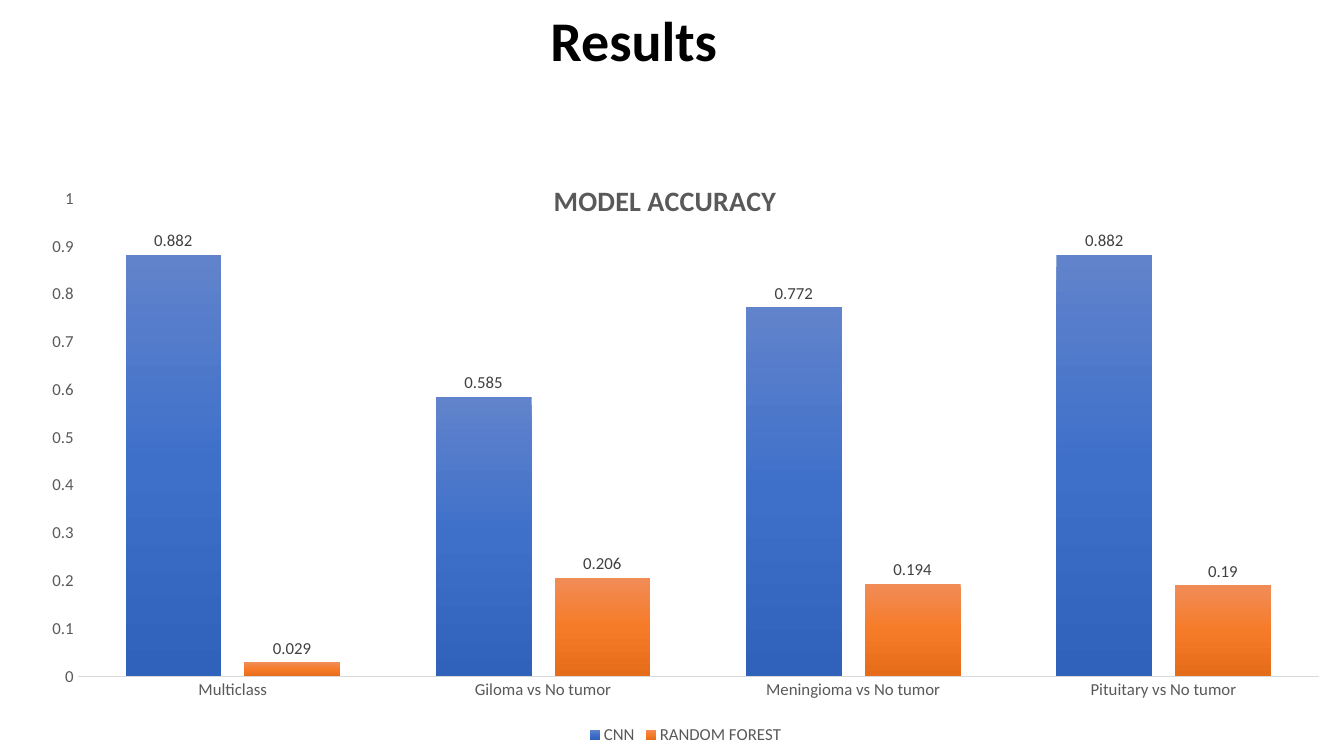
from pptx import Presentation
from pptx.chart.data import CategoryChartData
from pptx.dml.color import RGBColor
from pptx.enum.chart import XL_CHART_TYPE, XL_LABEL_POSITION, XL_LEGEND_POSITION, XL_TICK_MARK
from pptx.enum.text import MSO_ANCHOR, MSO_AUTO_SIZE, PP_ALIGN
from pptx.oxml import parse_xml
from pptx.oxml.ns import nsdecls, qn
from pptx.util import Inches, Pt

TITLE = "Results"
CHART_TITLE = "MODEL ACCURACY"
CATEGORIES = ["Multiclass", "Giloma vs No tumor", "Meningioma vs No tumor", "Pituitary vs No tumor"]
SERIES = {
    "CNN": [0.882, 0.585, 0.772, 0.882],
    "RANDOM FOREST": [0.029, 0.206, 0.194, 0.19],
}
GRADIENTS = {
    "CNN": ["6183CB", "3E70CA", "3062BB"],
    "RANDOM FOREST": ["F18C57", "F67B28", "E56C19"],
}
COLORS = {"title": "000000", "text": "595959", "label": "404040", "axis": "D9D9D9"}
FONT = "Calibri"
CHART_BOX = (0.26, 1.02, 13.08, 6.41)
PLOT_BOX = (0.77, 1.97, 12.31, 4.74)
CHART_TITLE_AT = (5.44, 1.74)


def style(font, size, color, bold=False):
    font.name = FONT
    font.size = Pt(size)
    font.bold = bold
    font.color.rgb = RGBColor.from_string(COLORS[color])


def gradient(colors):
    stops = "".join(
        f'<a:gs pos="{i * 50000}"><a:srgbClr val="{c}"/></a:gs>' for i, c in enumerate(colors)
    )
    return parse_xml(
        f'<a:gradFill {nsdecls("a")} rotWithShape="1"><a:gsLst>{stops}</a:gsLst>'
        '<a:lin ang="5400000" scaled="0"/></a:gradFill>'
    )


def layout(left, top, width=None, height=None):
    x, y, w, h = CHART_BOX
    values = {"x": (left - x) / w, "y": (top - y) / h}
    inner = ""
    if width:
        values.update(w=width / w, h=height / h)
        inner = '<c:layoutTarget val="inner"/>'
    modes = "".join(f'<c:{k}Mode val="edge"/>' for k in "xy")
    sizes = "".join(f'<c:{k} val="{v:.4f}"/>' for k, v in values.items())
    return parse_xml(
        f'<c:layout {nsdecls("c")}><c:manualLayout>{inner}{modes}{sizes}</c:manualLayout></c:layout>'
    )


def add_title(slide):
    title = slide.shapes.title
    title.left, title.top, title.width, title.height = map(Inches, (5.36, 0, 4.65, 0.77))
    tf = title.text_frame
    tf.text = TITLE
    tf.auto_size = MSO_AUTO_SIZE.NONE
    tf.vertical_anchor = MSO_ANCHOR.TOP
    p = tf.paragraphs[0]
    p.alignment = PP_ALIGN.LEFT
    style(p.runs[0].font, 40, "title", True)


def add_accuracy_chart(slide):
    data = CategoryChartData()
    data.categories = CATEGORIES
    for name, values in SERIES.items():
        data.add_series(name, values)
    chart = slide.shapes.add_chart(
        XL_CHART_TYPE.COLUMN_CLUSTERED, *map(Inches, CHART_BOX), data
    ).chart
    style(chart.font, 12, "text")

    chart.has_title = True
    tf = chart.chart_title.text_frame
    tf.text = CHART_TITLE
    style(tf.paragraphs[0].runs[0].font, 20, "text", True)
    title = chart.chart_title._element
    for old in title.findall(qn("c:layout")):
        title.remove(old)
    title.find(qn("c:tx")).addnext(layout(*CHART_TITLE_AT))
    title.find(qn("c:overlay")).set("val", "1")

    plot_area = chart._chartSpace.chart.plotArea
    for old in plot_area.findall(qn("c:layout")):
        plot_area.remove(old)
    plot_area.insert(0, layout(*PLOT_BOX))

    chart.has_legend = True
    chart.legend.position = XL_LEGEND_POSITION.BOTTOM
    chart.legend.include_in_layout = False
    style(chart.legend.font, 12, "text")

    for axis in (chart.category_axis, chart.value_axis):
        axis.major_tick_mark = axis.minor_tick_mark = XL_TICK_MARK.NONE
        axis.has_major_gridlines = False
        style(axis.tick_labels.font, 12, "text")
    line = chart.category_axis.format.line
    line.color.rgb = RGBColor.from_string(COLORS["axis"])
    line.width = Pt(1)
    values = chart.value_axis
    values.format.line.fill.background()
    values.minimum_scale, values.maximum_scale, values.major_unit = 0, 1, 0.1

    plot = chart.plots[0]
    plot.gap_width, plot.overlap = 100, -24
    plot.vary_by_categories = False
    for s in plot.series:
        s._element.get_or_add_spPr().append(gradient(GRADIENTS[s.name]))
        labels = s.data_labels
        labels.show_value = True
        labels.position = XL_LABEL_POSITION.OUTSIDE_END
        style(labels.font, 12, "label")


def main():
    prs = Presentation()
    prs.slide_width, prs.slide_height = Inches(13.33), Inches(7.5)
    slide = prs.slides.add_slide(prs.slide_layouts[5])
    add_title(slide)
    add_accuracy_chart(slide)
    prs.save("out.pptx")


if __name__ == "__main__":
    main()
